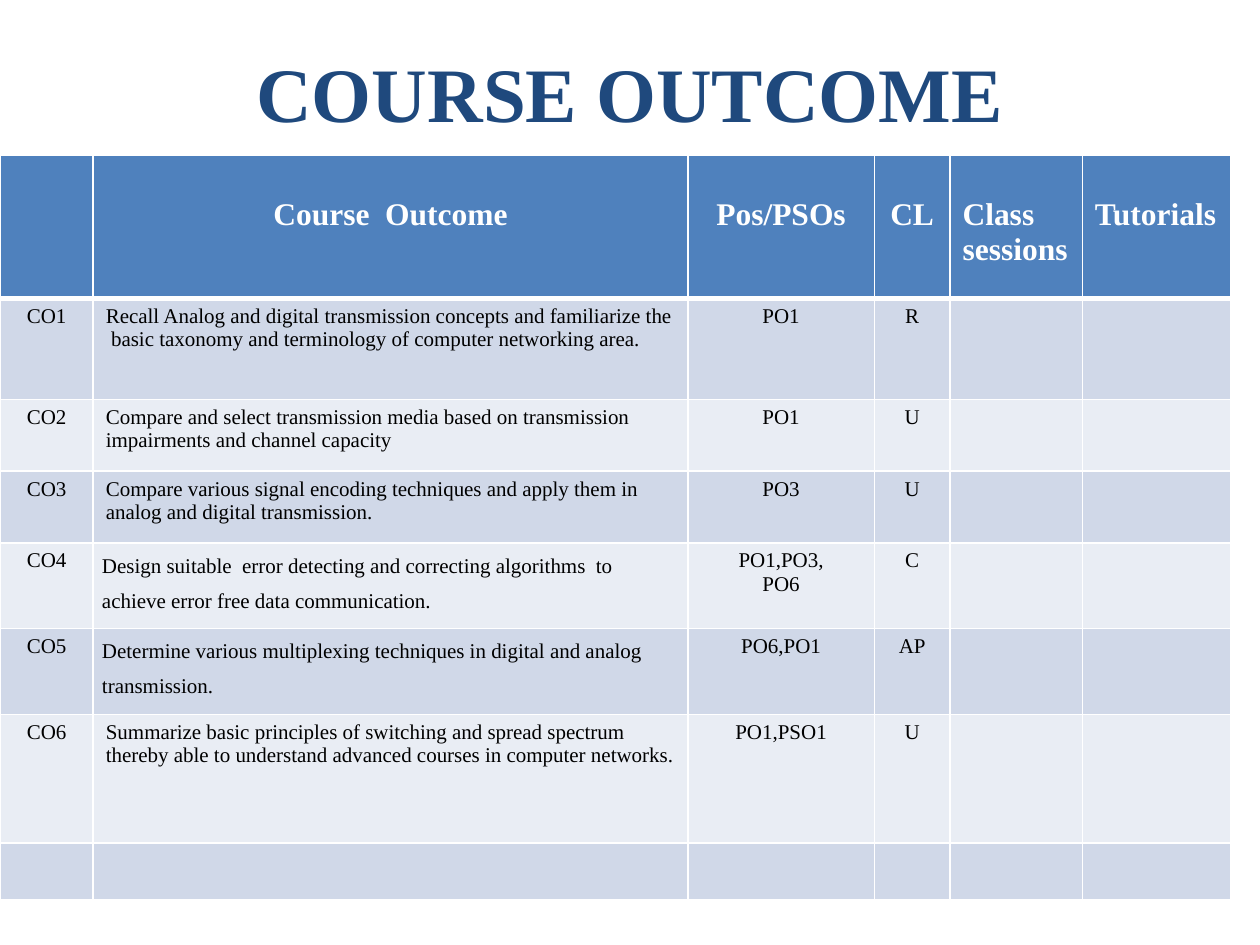
from lxml import etree
from pptx import Presentation
from pptx.dml.color import RGBColor
from pptx.enum.text import MSO_ANCHOR, PP_ALIGN
from pptx.oxml.ns import qn
from pptx.util import Inches, Pt

FONT = "Times New Roman"
NAVY = RGBColor(0x1F, 0x49, 0x7D)
BLUE = RGBColor(0x4F, 0x81, 0xBD)
BAND_DARK = RGBColor(0xD0, 0xD8, 0xE8)
BAND_LIGHT = RGBColor(0xE9, 0xED, 0xF4)
WHITE = RGBColor(0xFF, 0xFF, 0xFF)
BLACK = RGBColor(0, 0, 0)

COL_WIDTHS = [0.74, 4.72, 1.48, 0.6, 1.05, 1.18]
ROW_HEIGHTS = [1.14, 0.8, 0.57, 0.57, 0.68, 0.68, 1.02, 0.45]
CENTERED_COLS = (0, 2, 3)
SPACED_ROWS = (4, 5)  # outcomes set with 1.5 line spacing

HEADER = ["", "Course  Outcome", "Pos/PSOs", "CL", "Class sessions", "Tutorials"]
OUTCOMES = [
    ["CO1", "Recall Analog and digital transmission concepts and familiarize the"
     "  basic taxonomy and terminology of computer networking area.", "PO1", "R"],
    ["CO2", "Compare and select transmission media based on transmission "
     "impairments and channel capacity", "PO1", "U"],
    ["CO3", "Compare various signal encoding techniques and apply them in "
     "analog and digital transmission.", "PO3", "U"],
    ["CO4", "Design suitable  error detecting and correcting algorithms  to "
     "achieve error free data communication.", "PO1,PO3,\nPO6", "C"],
    ["CO5", "Determine various multiplexing techniques in digital and analog "
     "transmission.", "PO6,PO1", "AP"],
    ["CO6", "Summarize basic principles of switching and spread spectrum "
     "thereby able to understand advanced courses in computer networks.",
     "PO1,PSO1", "U"],
]


def write_text(tf, text, size=12, color=BLACK, bold=False,
               align=PP_ALIGN.LEFT, line_spacing=None, before=None):
    """Fill a text frame, one paragraph for each line of text."""
    for i, line in enumerate(text.split("\n")):
        p = tf.paragraphs[0] if i == 0 else tf.add_paragraph()
        p.alignment = align
        if line_spacing:
            p.line_spacing = line_spacing
        if before:
            p.space_before = Pt(before)
        r = p.add_run()
        r.text = line
        r.font.name, r.font.size, r.font.bold = FONT, Pt(size), bold
        r.font.color.rgb = color


def set_borders(cell, color=WHITE, top=1, bottom=1):
    """Draw all four borders; widths are in points."""
    tc_pr = cell._tc.get_or_add_tcPr()
    widths = {"a:lnL": 1, "a:lnR": 1, "a:lnT": top, "a:lnB": bottom}
    for i, (tag, width) in enumerate(widths.items()):
        ln = etree.Element(qn(tag), w=str(Pt(width)))
        fill = etree.SubElement(ln, qn("a:solidFill"))
        etree.SubElement(fill, qn("a:srgbClr"), val=str(color))
        tc_pr.insert(i, ln)


def place_title(s, text, left, top, width, height):
    sp = s.shapes.title
    sp.left, sp.top = Inches(left), Inches(top)
    sp.width, sp.height = Inches(width), Inches(height)
    tf = sp.text_frame
    tf.vertical_anchor = MSO_ANCHOR.MIDDLE
    write_text(tf, text, size=44, color=NAVY, bold=True, align=PP_ALIGN.CENTER)


def format_header_cell(cell, text, align):
    cell.margin_top = Inches(0.34)  # header text sits one line down
    if text:
        write_text(cell.text_frame, text, size=18, color=WHITE, bold=True, align=align)


def format_body_cell(cell, text, align, spaced):
    if spaced:
        cell.margin_left = cell.margin_right = Inches(0.07)
        cell.margin_top = cell.margin_bottom = 0
        write_text(cell.text_frame, text, align=align, line_spacing=1.5, before=6)
    elif text:
        write_text(cell.text_frame, text, align=align)


def place_outcome_table(s, left, top, width, height):
    n_rows, n_cols = len(ROW_HEIGHTS), len(COL_WIDTHS)
    table = s.shapes.add_table(n_rows, n_cols, Inches(left), Inches(top),
                               Inches(width), Inches(height)).table
    for column, w in zip(table.columns, COL_WIDTHS):
        column.width = Inches(w)
    for row, h in zip(table.rows, ROW_HEIGHTS):
        row.height = Inches(h)

    rows = [HEADER] + OUTCOMES
    for r in range(n_rows):
        values = rows[r] if r < len(rows) else []
        band = BLUE if r == 0 else BAND_DARK if r % 2 else BAND_LIGHT
        for c in range(n_cols):
            cell = table.cell(r, c)
            text = values[c] if c < len(values) else ""
            centered = c in CENTERED_COLS or (r == 0 and c == 1)
            align = PP_ALIGN.CENTER if centered else PP_ALIGN.LEFT
            cell.fill.solid()
            cell.fill.fore_color.rgb = band
            # A thick rule parts the header from the body
            set_borders(cell, top=3 if r == 1 else 1, bottom=3 if r == 0 else 1)
            if r == 0:
                format_header_cell(cell, text, align)
            else:
                format_body_cell(cell, text, align, c == 1 and r in SPACED_ROWS)


def main():
    prs = Presentation()
    prs.slide_width, prs.slide_height = Inches(10), Inches(7.5)
    s = prs.slides.add_slide(prs.slide_layouts[5])  # title only
    place_title(s, "COURSE OUTCOME", 0.5, 0.3, 9, 0.85)
    place_outcome_table(s, 0, 1.23, sum(COL_WIDTHS), sum(ROW_HEIGHTS))
    prs.save("out.pptx")


if __name__ == "__main__":
    main()
